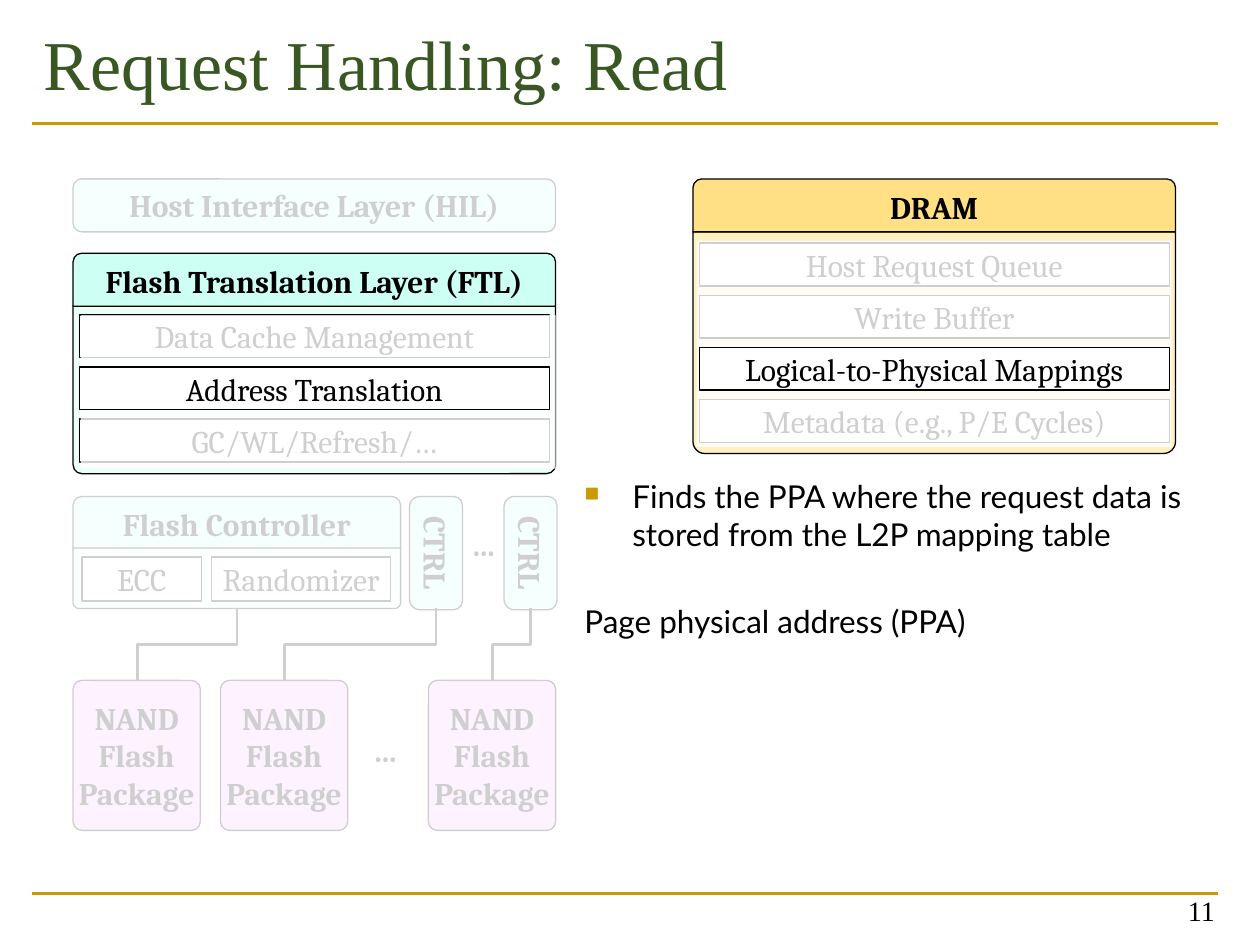
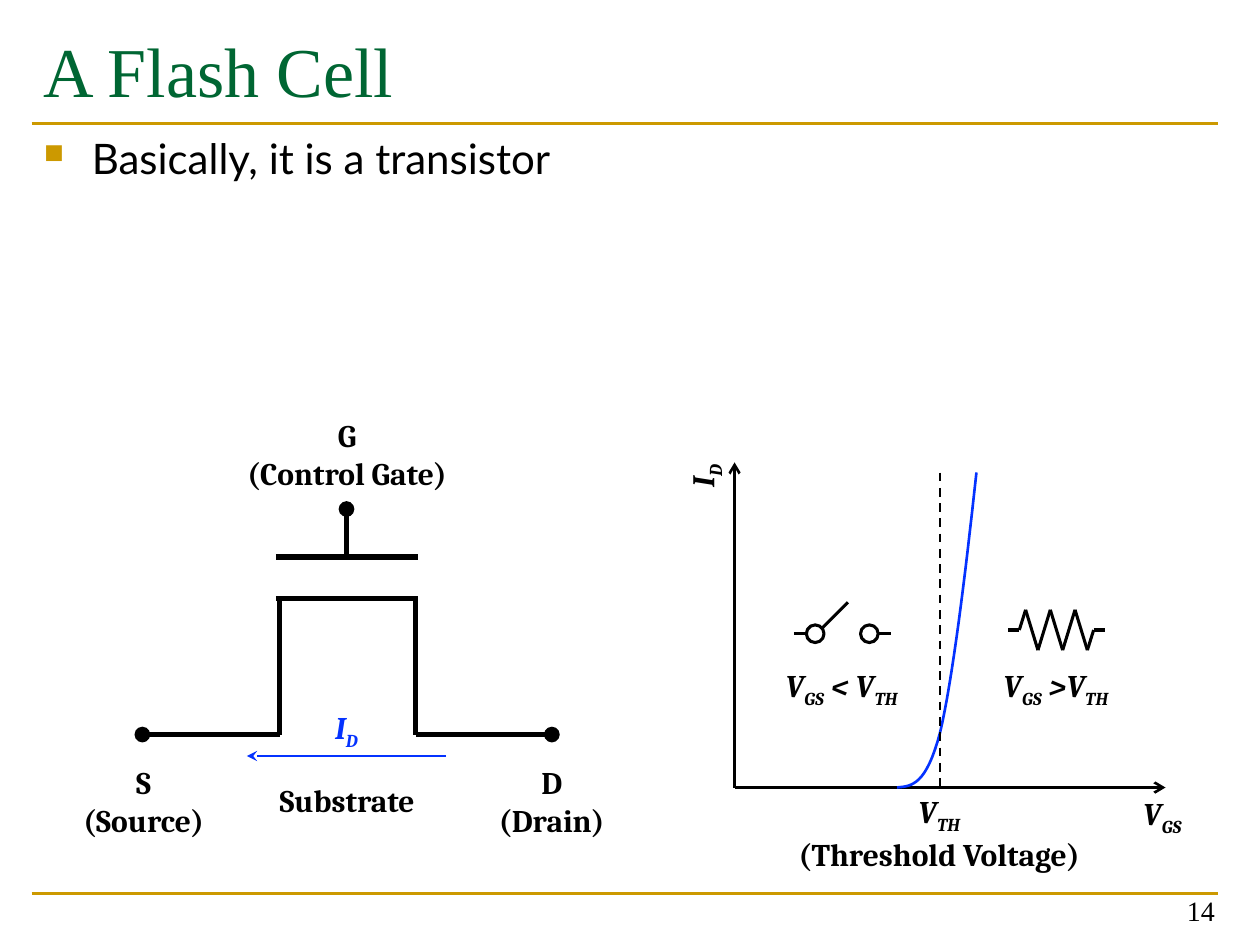
"""Build two slides on flash storage: read request handling and the flash cell."""
from itertools import pairwise

from lxml.etree import SubElement
from pptx import Presentation
from pptx.dml.color import RGBColor
from pptx.enum.dml import MSO_LINE
from pptx.enum.shapes import MSO_CONNECTOR, MSO_SHAPE
from pptx.enum.text import MSO_ANCHOR, PP_ALIGN
from pptx.oxml.ns import qn
from pptx.util import Inches, Pt

STRAIGHT, ELBOW = MSO_CONNECTOR.STRAIGHT, MSO_CONNECTOR.ELBOW
ROUNDED, TOP_ROUNDED = MSO_SHAPE.ROUNDED_RECTANGLE, MSO_SHAPE.ROUND_2_SAME_RECTANGLE
RECTANGLE, OVAL = MSO_SHAPE.RECTANGLE, MSO_SHAPE.OVAL
TOP, MIDDLE, BOTTOM = MSO_ANCHOR.TOP, MSO_ANCHOR.MIDDLE, MSO_ANCHOR.BOTTOM
LEFT, CENTER, RIGHT = PP_ALIGN.LEFT, PP_ALIGN.CENTER, PP_ALIGN.RIGHT
DASH = MSO_LINE.DASH

THEME = {
    "ink": "000000", "paper": "FFFFFF", "gold": "CC9900", "current": "0432FF",
    "read title": "385723", "cell title": "006633",
    "layer": "CDFFF5", "layer body": "ECFFF8",
    "memory": "FFE085", "memory body": "FFF0C2", "package": "F8BFFF",
    "title": {"name": "Times New Roman", "size": Pt(40)},
    "number": {"name": "Times New Roman", "size": Pt(16)},
    "body": {"name": "Lato", "size": Pt(18)},
    "lead": {"name": "Lato", "size": Pt(24)},
    "item": {"name": "Cambria", "size": Pt(18)},
    "label": {"name": "Cambria", "size": Pt(18), "bold": True},
}


def add_part(slide, kind, box, text="", style="label", fill=None, outline="ink", color="ink",
             align=CENTER, anchor=MIDDLE, wrap=None, adjust=(), rotation=0, opacity=None, weight=0.75):
    """Add a shape, or a text box if kind is None; underscores enclose subscripts."""
    place = [Inches(length) for length in box]
    if kind is None:
        part = slide.shapes.add_textbox(*place)
        layout = {"word_wrap": bool(wrap), "vertical_anchor": anchor}
    else:
        part = slide.shapes.add_shape(kind, *place)
        part.shadow.inherit = False
        for index, value in enumerate(adjust):
            part.adjustments[index] = value
        part.fill.solid()
        part.fill.fore_color.rgb = RGBColor.from_string(THEME[fill])
        if opacity:
            tint = part._element.spPr.find(".//" + qn("a:srgbClr"))
            SubElement(tint, qn("a:alpha"), val=str(opacity * 1000))
        if outline:
            part.line.color.rgb = RGBColor.from_string(THEME[outline])
            part.line.width = Pt(weight)
        else:
            part.line.fill.background()
        layout = {"word_wrap": True, "vertical_anchor": anchor, "margin_left": 0,
                  "margin_right": 0, "margin_top": 0, "margin_bottom": 0}
    part.rotation = rotation
    frame = part.text_frame
    for name, value in layout.items():
        setattr(frame, name, value)
    for row, line in enumerate(text.split("\n") if text else []):
        paragraph = frame.add_paragraph() if row else frame.paragraphs[0]
        paragraph.alignment = align
        for index, piece in enumerate(line.split("_")):
            if not piece:
                continue
            run = paragraph.add_run()
            run.text = piece
            for name, value in THEME[style].items():
                setattr(run.font, name, value)
            run.font.italic = "_" in line
            run.font.color.rgb = RGBColor.from_string(THEME[color])
            if index % 2:
                run._r.get_or_add_rPr().set("baseline", "-25000")
    return part


def add_line(slide, start, end, weight, color="ink", kind=STRAIGHT, dash=None, head=None, tail=None):
    """Add a connector; head and tail name the marks at its start and end."""
    connector = slide.shapes.add_connector(kind, *[Inches(length) for length in (*start, *end)])
    connector.line.color.rgb = RGBColor.from_string(THEME[color])
    connector.line.width = Pt(weight)
    if dash:
        connector.line.dash_style = dash
    properties = connector._element.spPr
    for tag, mark in (("a:headEnd", head), ("a:tailEnd", tail)):
        if mark:
            SubElement(properties.find(qn("a:ln")), qn(tag), type=mark)
    SubElement(properties, qn("a:effectLst"))
    return connector


deck = Presentation()
deck.slide_width, deck.slide_height = Inches(10), Inches(7.5)
blank = deck.slide_layouts[6]

pages = []
for title, color, number, box, anchor in (
    ("Request Handling: Read", "read title", "11", (0.25, 0, 9.42, 0.99), MIDDLE),
    ("A Flash Cell", "cell title", "14", (0.25, 0.17, 9.42, 1.17), TOP),
):
    page = deck.slides.add_slide(blank)
    for y in (7.09, 0.98):
        add_line(page, (0.25, y), (9.67, y), 1.5, "gold")
    add_part(page, None, box, title, "title", color=color, align=LEFT, anchor=anchor, wrap=True)
    add_part(page, None, (7.41, 6.91, 2.33, 0.5), number, "number", align=RIGHT, anchor=BOTTOM, wrap=True)
    pages.append(page)
read, cell = pages

add_part(read, ROUNDED, (0.58, 1.42, 3.83, 0.42), "Host Interface Layer (HIL)", fill="layer")
add_part(read, TOP_ROUNDED, (0.58, 3.94, 2.6, 0.42), "Flash Controller", fill="layer")
add_part(read, TOP_ROUNDED, (0.58, 4.35, 2.6, 0.48), fill="layer body", adjust=(0, 0.1))
for unit, left, width in (("ECC", 0.65, 0.95), ("Randomizer", 1.68, 1.42)):
    add_part(read, RECTANGLE, (left, 4.42, width, 0.35), unit, "item", fill="paper")
for left in (3.01, 3.76):
    add_part(read, TOP_ROUNDED, (left, 4.18, 0.9, 0.42), "CTRL", fill="layer",
             adjust=(0.167, 0.197), rotation=90)
for left, top in ((3.64, 4.12), (2.86, 5.75)):
    add_part(read, None, (left, top, 0.4, 0.4), "…")

package_top, controller_bottom = 5.4, 4.83
for left, controller_x in ((0.58, 1.88), (1.75, 3.46), (3.4, 4.21)):
    add_part(read, ROUNDED, (left, package_top, 1.01, 1.19), "NAND\nFlash\nPackage",
             fill="package", adjust=(0.069,))
    package_x = left + 0.51
    middle_x, middle_y = (package_x + controller_x) / 2, (package_top + controller_bottom) / 2
    half_rise, half_run = (package_top - controller_bottom) / 2, (controller_x - package_x) / 2
    channel = add_line(read, (middle_x + half_rise, middle_y + half_run),
                       (middle_x - half_rise, middle_y - half_run), 1.5, kind=ELBOW)
    channel._element.spPr.find(qn("a:xfrm")).set("rot", "5400000")

add_part(read, RECTANGLE, (0.25, 1.08, 9.42, 5.92), fill="paper", outline="paper", opacity=81)

for name, left, top, height, tone, rows, first_row, active, veil in (
    ("DRAM", 5.5, 1.42, 1.76, "memory",
     ("Host Request Queue", "Write Buffer", "Logical-to-Physical Mappings", "Metadata (e.g., P/E Cycles)"),
     1.93, 2, (5.53, 1.91, 3.77, 1.64)),
    ("Flash Translation Layer (FTL)", 0.58, 2.01, 1.33, "layer",
     ("Data Cache Management", "Address Translation", "GC/WL/Refresh/…"),
     2.5, 1, (0.64, 2.5, 3.77, 1.22)),
):
    add_part(read, TOP_ROUNDED, (left, top + 0.42, 3.83, height), fill=tone + " body", adjust=(0, 0.054))
    add_part(read, TOP_ROUNDED, (left, top, 3.83, 0.42), name, fill=tone)
    for index in sorted(range(len(rows)), key=lambda row: row == active):
        if index == active:
            add_part(read, RECTANGLE, veil, fill="paper", outline=None, opacity=81)
        add_part(read, RECTANGLE, (left + 0.05, first_row + index * 1.24 / 3, 3.73, 0.34),
                 rows[index], "item", fill="paper")

finding = add_part(read, None, (4.54, 3.74, 5.28, 3.35),
                   "Finds the PPA where the request data is stored from the L2P mapping table\n"
                   "Page physical address (PPA)", "body", align=LEFT, anchor=TOP, wrap=True)
finding.text_frame.paragraphs[1].space_before = Pt(28)
basics = add_part(cell, None, (0.25, 1, 9.42, 6.08), "Basically, it is a transistor",
                  "lead", align=LEFT, anchor=TOP, wrap=True)
for statement in (finding, basics):
    bullet = statement.text_frame.paragraphs[0]._p.get_or_add_pPr()
    bullet.set("marL", str(Inches(0.38)))
    bullet.set("indent", str(-Inches(0.38)))
    SubElement(SubElement(bullet, qn("a:buClr")), qn("a:srgbClr"), val=THEME["gold"])
    SubElement(bullet, qn("a:buSzPct"), val="65000")
    SubElement(bullet, qn("a:buChar"), char="■")

for start, end, mark in (
    ((2.22, 5.83), (1.13, 5.83), "oval"),
    ((2.22, 5.83), (2.22, 4.75), None),
    ((3.3, 5.83), (4.38, 5.83), "oval"),
    ((3.3, 5.83), (3.3, 4.75), None),
    ((2.19, 4.75), (3.32, 4.75), None),
    ((2.19, 4.42), (3.32, 4.42), None),
    ((2.75, 4.42), (2.75, 4.04), "oval"),
):
    add_line(cell, start, end, 3, tail=mark)
add_line(cell, (3.54, 6), (1.96, 6), 1.25, "current", tail="stealth")

threshold_x, origin = 7.46, (5.83, 6.25)
for axis_end in ((5.83, 3.67), (9.25, 6.25)):
    add_line(cell, origin, axis_end, 1.5, tail="arrow")

curve = [(7.75, 3.75)]
for a, b, c, d in (
    ((7.75, 3.75), (7.66, 4.58), (7.56, 5.4), (7.46, 5.82)),
    ((7.46, 5.82), (7.35, 6.23), (7.24, 6.24), (7.12, 6.25)),
):
    for step in range(1, 17):
        t = step / 16
        weights = ((1 - t) ** 3, 3 * t * (1 - t) ** 2, 3 * t * t * (1 - t), t ** 3)
        curve.append([sum(w * p[axis] for w, p in zip(weights, (a, b, c, d))) for axis in (0, 1)])
points = [(Inches(x), Inches(y)) for x, y in curve]
outline = cell.shapes.build_freeform(*points[0])
outline.add_line_segments(points[1:], close=False)
drain_current = outline.convert_to_shape()
drain_current.shadow.inherit = False
drain_current.fill.background()
drain_current.line.color.rgb = RGBColor.from_string(THEME["current"])
drain_current.line.width = Pt(1.5)
add_line(cell, (threshold_x, 3.75), (threshold_x, 6.25), 1.25, dash=DASH)

zigzag = [(8.14 + 0.098 * step, 5.16 if step % 2 else 4.84) for step in range(6)]
for start, end in pairwise([(8, 5), (8.09, 5), *zigzag[:5], (8.63, 5.16), (8.68, 5), (8.77, 5)]):
    add_line(cell, start, end, 1.75)

for left in (6.4, 6.83):
    add_part(cell, OVAL, (left, 4.96, 0.14, 0.14), fill="paper", weight=1.75)
for start, end in (((6.53, 4.98), (6.73, 4.78)), ((6.3, 5.03), (6.4, 5.03)), ((6.97, 5.03), (7.07, 5.03))):
    add_line(cell, start, end, 1.75)

for text, box, color, rotation in (
    ("S\n(Source)", (0.54, 6, 1.2, 0.71), "ink", 0),
    ("D\n(Drain)", (3.85, 6, 1.06, 0.71), "ink", 0),
    ("G\n(Control Gate)", (1.83, 3.25, 1.85, 0.71), "ink", 0),
    ("Substrate", (2.1, 6.15, 1.31, 0.4), "ink", 0),
    ("I_D_", (2.55, 5.59, 0.4, 0.4), "current", 0),
    ("I_D_", (5.39, 3.58, 0.4, 0.4), "ink", 270),
    ("V_GS_", (8.95, 6.27, 0.55, 0.4), "ink", 0),
    ("V_TH_\n(Threshold Voltage)", (6.2, 6.25, 2.51, 0.71), "ink", 0),
    ("V_GS_ >V_TH_", (7.83, 5.26, 1.1, 0.4), "ink", 0),
    ("V_GS_ < V_TH_", (6.1, 5.26, 1.16, 0.4), "ink", 0),
):
    add_part(cell, None, box, text, color=color, rotation=rotation)

deck.save("out.pptx")
